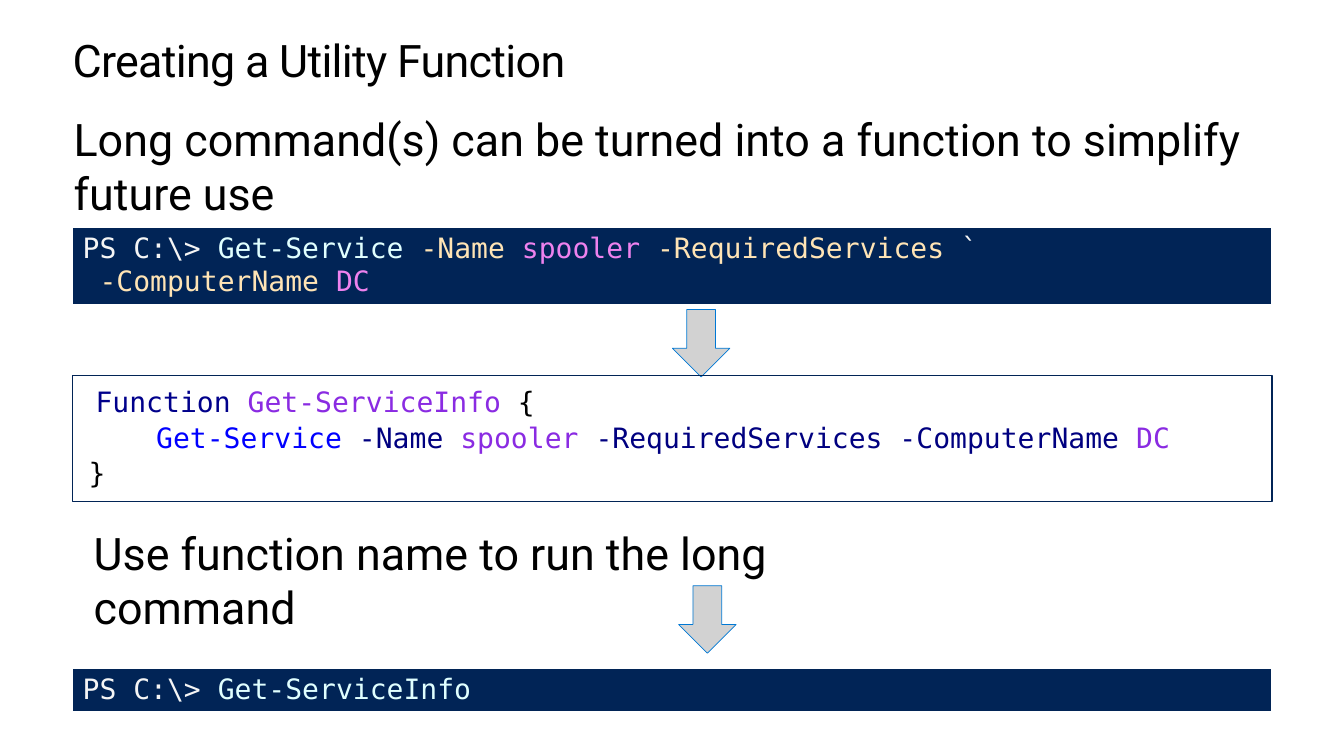
from lxml.etree import SubElement
from pptx import Presentation
from pptx.dml.color import RGBColor
from pptx.enum.shapes import MSO_SHAPE
from pptx.enum.text import MSO_ANCHOR, PP_ALIGN
from pptx.oxml.ns import qn
from pptx.util import Inches, Pt

BLACK = RGBColor(0x00, 0x00, 0x00)
WHITE = RGBColor(0xFF, 0xFF, 0xFF)
NAVY = RGBColor(0x01, 0x24, 0x56)
GRAY = RGBColor(0xD2, 0xD2, 0xD2)
BLUE = RGBColor(0x00, 0x78, 0xD4)
PROMPT = RGBColor(0xF5, 0xF5, 0xF5)
CYAN = RGBColor(0xE0, 0xFF, 0xFF)
SAND = RGBColor(0xFF, 0xE4, 0xB5)
PINK = RGBColor(0xEE, 0x82, 0xEE)
KEYWORD = RGBColor(0x00, 0x00, 0x8B)
PURPLE = RGBColor(0x8A, 0x2B, 0xE2)
CMDLET = RGBColor(0x00, 0x00, 0xFF)
PARAM = RGBColor(0x00, 0x00, 0x80)
SANS, MONO = "Roboto", "DejaVu Sans Mono"

deck = Presentation()
deck.slide_width, deck.slide_height = Inches(13.33), Inches(7.5)
LEFT, WIDE = 5.4, 89.25


def place(x, y, wide, high):
    """Turn percentages of the slide into left, top, width and height."""
    col, row = deck.slide_width / 100, deck.slide_height / 100
    return [round(n) for n in (x * col, y * row, wide * col, high * row)]


def write(frame, lines, size, font=MONO):
    """Fill a frame with lines, each a list of (text, colour) runs."""
    for i, line in enumerate(lines):
        para = frame.paragraphs[0] if i == 0 else frame.add_paragraph()
        para.alignment = PP_ALIGN.LEFT
        for text, color in line:
            run = para.add_run()
            run.text = text
            run.font.size, run.font.name = Pt(size), font
            run.font.color.rgb = color


slide = deck.slides.add_slide(deck.slide_layouts[1])
shapes = slide.shapes

# Title, lead and note
title, lead = shapes.title, slide.placeholders[1]
title.left, title.top, title.width, title.height = place(LEFT, 4.67, WIDE, 6.67)
lead.left, lead.top, lead.width, lead.height = place(4.73, 14.13, 89.65, 15.73)
note = shapes.add_textbox(*place(6.23, 68.93, 65.19, 8.53))
for shape, text in (
    (title, "Creating a Utility Function"),
    (lead, "Long command(s) can be turned into a function to simplify future use"),
    (note, "Use function name to run the long command"),
):
    frame = shape.text_frame
    frame.word_wrap = True
    frame.vertical_anchor = MSO_ANCHOR.TOP
    write(frame, [[(text, BLACK)]], 32, SANS)

frame = title.text_frame
frame.margin_left = frame.margin_right = frame.margin_top = frame.margin_bottom = 0
frame.paragraphs[0].line_spacing = Pt(36.2)
frame.paragraphs[0].runs[0].font._element.set("spc", "-50")

para = lead.text_frame.paragraphs[0]
para.space_before = Pt(0)
props = para._p.get_or_add_pPr()
props.set("marL", "0")
props.set("indent", "0")
SubElement(props, qn("a:buNone"))

# Console bars
command = [
    [("PS C:\\> ", PROMPT), ("Get-Service ", CYAN), ("-Name ", SAND),
     ("spooler ", PINK), ("-RequiredServices", SAND), (" `", PROMPT)],
    [(" ", PROMPT), ("-ComputerName ", SAND), ("DC", PINK)],
]
call = [[("PS C:\\> ", PROMPT), ("Get-ServiceInfo", CYAN)]]
for top, high, lines in ((30.13, 10.27, command), (88.4, 5.87, call)):
    table = shapes.add_table(1, 1, *place(LEFT, top, WIDE, high)).table
    table.first_row = table.horz_banding = False
    cell = table.cell(0, 0)
    write(cell.text_frame, lines, 20)
    props = cell._tc.get_or_add_tcPr()
    for side, points in (("L", 1), ("R", 1), ("T", 1), ("B", 3)):
        edge = SubElement(props, qn("a:ln" + side), w=str(Pt(points)))
        paint = SubElement(edge, qn("a:solidFill"))
        SubElement(paint, qn("a:srgbClr"), val=str(WHITE))
    cell.fill.solid()
    cell.fill.fore_color.rgb = NAVY

# Arrows
for x, y in ((50.03, 40.93), (50.49, 77.47)):
    arrow = shapes.add_shape(MSO_SHAPE.DOWN_ARROW, *place(x, y, 4.28, 8.93))
    arrow.shadow.inherit = False
    arrow.fill.solid()
    arrow.fill.fore_color.rgb = GRAY
    arrow.line.color.rgb = BLUE
    arrow.line.width = Pt(0.5)

# Function code
code = shapes.add_shape(MSO_SHAPE.RECTANGLE, *place(LEFT, 49.73, WIDE, 16.67))
code.shadow.inherit = False
code.fill.background()
code.line.color.rgb = NAVY
code.line.width = Pt(0.75)
frame = code.text_frame
frame.word_wrap = True
frame.margin_left = frame.margin_right = Inches(0.16)
frame.margin_top = frame.margin_bottom = Inches(0.1)
write(frame, [
    [(" ", BLACK), ("Function ", KEYWORD), ("Get-ServiceInfo", PURPLE), (" {", BLACK)],
    [("Get-Service ", CMDLET), ("-Name ", PARAM), ("spooler ", PURPLE),
     ("-RequiredServices -ComputerName ", PARAM), ("DC", PURPLE)],
    [("}", BLACK)],
], 20)
for para in frame.paragraphs:
    para.line_spacing = 0.9
    para.space_before = Pt(4)
frame.paragraphs[0].runs[0].font.name = SANS
frame.paragraphs[1]._p.get_or_add_pPr().set("marL", str(Inches(0.67)))

deck.save("out.pptx")
